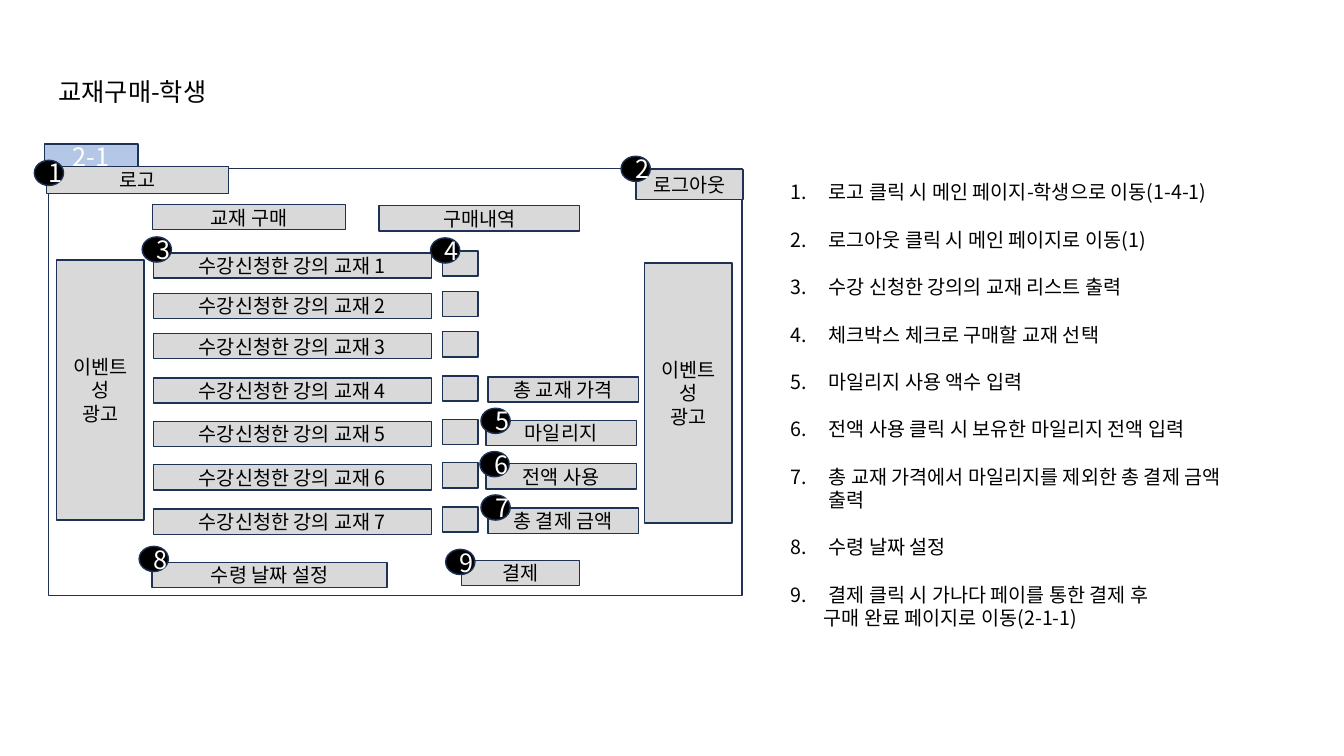
from lxml import etree
from pptx import Presentation
from pptx.dml.color import RGBColor
from pptx.enum.shapes import MSO_SHAPE
from pptx.enum.text import MSO_ANCHOR, MSO_AUTO_SIZE, PP_ALIGN
from pptx.oxml.ns import qn
from pptx.util import Pt

RECT, OVAL = MSO_SHAPE.RECTANGLE, MSO_SHAPE.OVAL
TOP, MIDDLE = MSO_ANCHOR.TOP, MSO_ANCHOR.MIDDLE
LEFT, CENTER = PP_ALIGN.LEFT, PP_ALIGN.CENTER
FIXED = MSO_AUTO_SIZE.NONE
SCALE = 9144
FACE = "Noto Sans CJK KR"
BLACK, WHITE, GREY, BLUE, NAVY = "000000", "FFFFFF", "D9D9D9", "B4C7E7", "1E3256"

ROWS = (84, 124, 164, 208, 251, 294, 338)
PARTS = (
    ("로고", -2, -2, 181, 27),
    ("로그아웃", 583, 1, 106, 30),
    ("교재 구매", 103, 36, 192, 25),
    ("구매내역", 328, 37, 199, 25),
    ("결제", 410, 389, 117, 25),
    ("수령 날짜 설정", 103, 391, 233, 25),
    ("이벤트성\n광고", 8, 91, 87, 258),
    ("이벤트성\n광고", 591, 94, 87, 258),
)
COSTS = (("총 교재 가격", 436), ("마일리지", 434), ("전액 사용", 434), ("총 결제 금액", 436))
MARKS = ((-14, -8), (568, -12), (93, 68), (379, 69), (429, 238),
         (428, 281), (429, 324), (90, 375), (394, 378))
NOTES = (
    "로고 클릭 시 메인 페이지-학생으로 이동(1-4-1)",
    "로그아웃 클릭 시 메인 페이지로 이동(1)",
    "수강 신청한 강의의 교재 리스트 출력",
    "체크박스 체크로 구매할 교재 선택",
    "마일리지 사용 액수 입력",
    "전액 사용 클릭 시 보유한 마일리지 전액 입력",
    "총 교재 가격에서 마일리지를 제외한 총 결제 금액 출력",
    "수령 날짜 설정",
    "결제 클릭 시 가나다 페이를 통한 결제 후",
)
TAIL = "구매 완료 페이지로 이동(2-1-1)"


def px(*vals):
    """Turn px lengths into EMU."""
    return [val * SCALE for val in vals]


def color(code):
    """Turn a hex string into a colour."""
    return RGBColor.from_string(code)


def assign(obj, vals):
    """Set each named value on an object."""
    for name, val in vals.items():
        setattr(obj, name, val)


def style(para, size, code, align):
    """Align a paragraph and format its runs."""
    para.alignment = align
    for run in para.runs:
        assign(run.font, {"name": FACE, "size": Pt(size), "bold": False})
        run.font.color.rgb = color(code)
        east = etree.SubElement(run.font._element, qn("a:ea"))
        east.set("typeface", FACE)


def block(slide, box, text="", fill=GREY, size=14, ink=BLACK, kind=RECT):
    """Draw one outlined shape with centred text."""
    shape = slide.shapes.add_shape(kind, *px(*box))
    shape.shadow.inherit = False
    shape.fill.solid()
    shape.fill.fore_color.rgb = color(fill)
    shape.line.color.rgb = color(NAVY)
    shape.line.width = Pt(1)
    frame = shape.text_frame
    assign(frame, {"text": text, "word_wrap": True, "vertical_anchor": MIDDLE})
    for para in frame.paragraphs:
        style(para, size, ink, CENTER)


def heading(slide, box, text):
    """Place the slide title."""
    title = slide.shapes.title
    assign(title, dict(zip(("left", "top", "width", "height"), px(*box))))
    frame = title.text_frame
    assign(frame, {"text": text, "word_wrap": False,
                   "auto_size": FIXED, "vertical_anchor": TOP})
    style(frame.paragraphs[0], 18, BLACK, LEFT)


def screen(slide, box):
    """Draw the page mock-up with its rows and numbered marks."""
    x, y = box[:2]
    block(slide, box, fill=WHITE)
    block(slide, (x - 4, y - 24, 93, 25), "2-1", BLUE, 18, WHITE)
    for text, dx, dy, w, h in PARTS:
        block(slide, (x + dx, y + dy, w, h), text)
    for num, row in enumerate(ROWS, 1):
        block(slide, (x + 104, y + row, 276, 25), f"수강신청한 강의 교재 {num}")
        block(slide, (x + 391, y + row - 2, 35, 25))
    for (text, dx), row in zip(COSTS, ROWS[3:]):
        block(slide, (x + dx, y + row - 1, 149, 25), text)
    for num, (dx, dy) in enumerate(MARKS, 1):
        block(slide, (x + dx, y + dy, 29, 25), str(num), BLACK, 18, WHITE, OVAL)


def notes(slide, box):
    """Write the numbered list of actions."""
    frame = slide.shapes.add_textbox(*px(*box)).text_frame
    frame.word_wrap = True
    frame.text = "\n".join((*NOTES, TAIL))
    *items, tail = frame.paragraphs
    for pos, para in enumerate(items):
        para.space_before = Pt(17 if pos else 0)
        props = para._p.get_or_add_pPr()
        assign_xml = {"marL": px(38)[0], "indent": px(-38)[0]}
        for name, val in assign_xml.items():
            props.set(name, str(val))
        etree.SubElement(props, qn("a:buFont")).set("typeface", "+mj-lt")
        etree.SubElement(props, qn("a:buAutoNum")).set("type", "arabicPeriod")
        style(para, 14, BLACK, LEFT)
    tail._p.get_or_add_pPr().set("marL", str(px(33)[0]))
    style(tail, 14, BLACK, LEFT)


def main():
    """Build and save the slide."""
    deck = Presentation()
    deck.slide_width, deck.slide_height = px(1333, 750)
    slide = deck.slides.add_slide(deck.slide_layouts[5])
    notes(slide, (774, 174, 470, 481))
    heading(slide, (48, 71, 182, 40), "교재구매-학생")
    screen(slide, (48, 167, 688, 424))
    deck.save("out.pptx")


if __name__ == "__main__":
    main()
